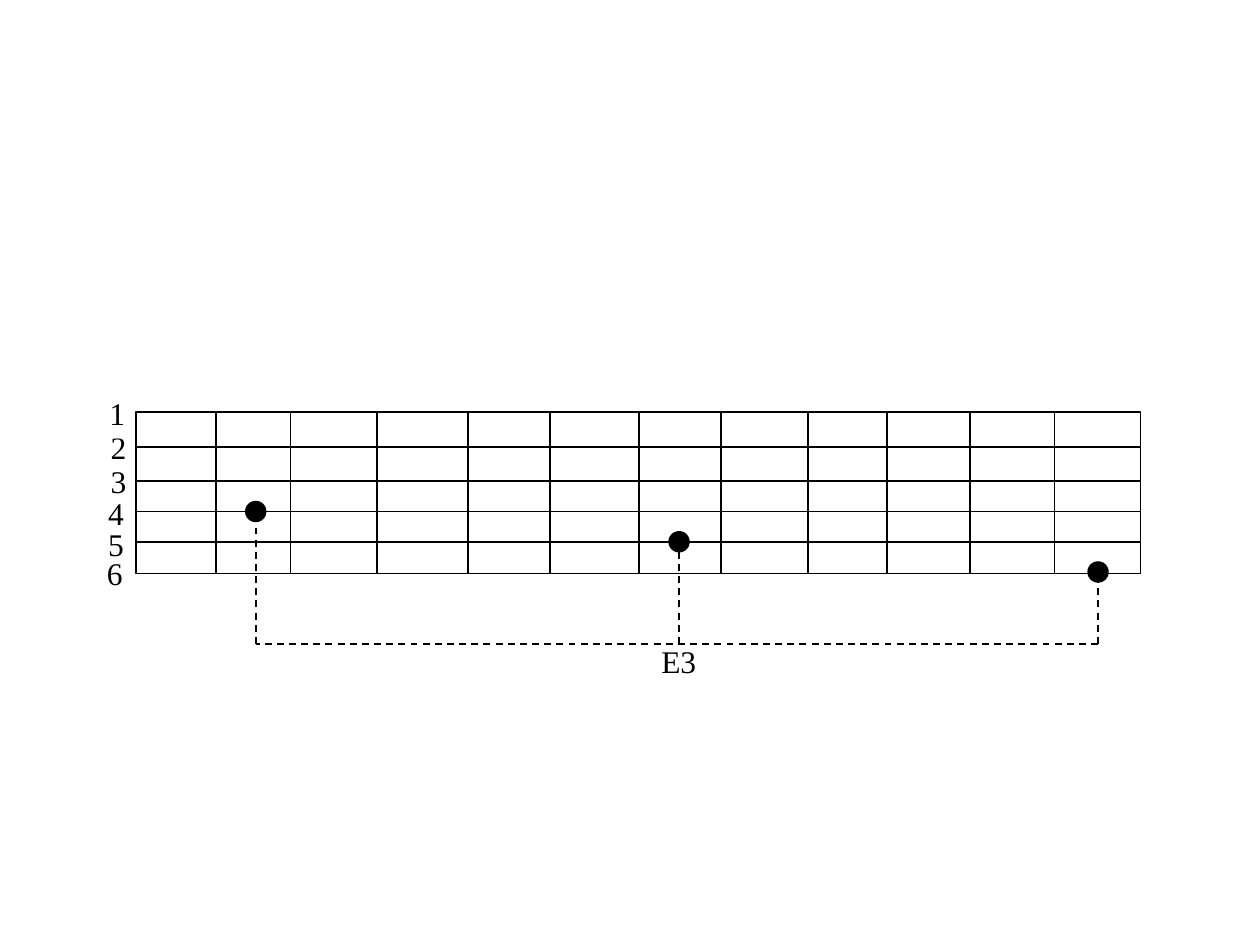
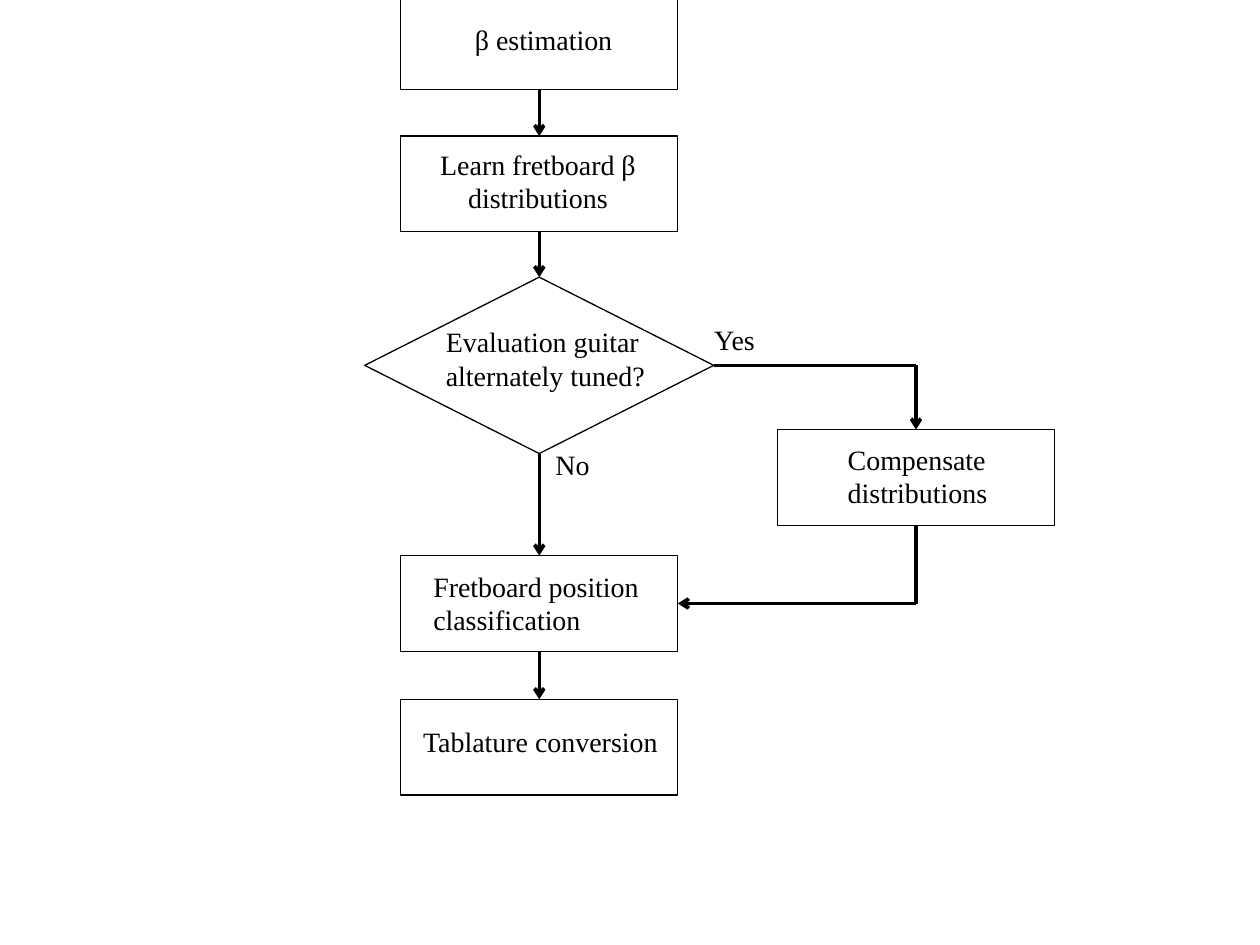
from lxml.etree import SubElement
from pptx import Presentation
from pptx.dml.color import RGBColor
from pptx.enum.dml import MSO_LINE
from pptx.enum.shapes import MSO_CONNECTOR, MSO_SHAPE as SHAPE
from pptx.enum.text import MSO_AUTO_SIZE, PP_ALIGN
from pptx.oxml.ns import qn
from pptx.util import Inches, Pt

COLORS = {"ink": "000000", "paper": "FFFFFF"}
FONT = "Times New Roman"
COLUMNS, ROWS = 100, 75
TOP, LEFT, BOTTOM, RIGHT = range(4)


class Sketch:
    def __init__(self, prs):
        self.prs = prs
        self.col = prs.slide_width / COLUMNS
        self.row = prs.slide_height / ROWS
        self.s = None

    def new_slide(self, size):
        self.s = self.prs.slides.add_slide(self.prs.slide_layouts[6])
        self.s.background.fill.solid()
        self.s.background.fill.fore_color.rgb = self.color("paper")
        self.size = Pt(size)

    def color(self, name):
        return RGBColor.from_string(COLORS[name])

    def place(self, x, y):
        return round(x * self.col), round(y * self.row)

    def shape(self, kind, x, y, w, h, fill=None):
        sp = self.s.shapes.add_shape(kind, *self.place(x, y), *self.place(w, h))
        sp.shadow.inherit = False
        self.fill(sp, fill)
        sp.line.color.rgb = self.color("ink")
        sp.line.width = Pt(0.75)
        return sp

    def fill(self, sp, name):
        if name:
            sp.fill.solid()
            sp.fill.fore_color.rgb = self.color(name)
        else:
            sp.fill.background()

    def text(self, words, x, y, w, h, wrap=True, align=PP_ALIGN.LEFT, fill=None):
        sp = self.s.shapes.add_textbox(*self.place(x, y), *self.place(w, h))
        self.fill(sp, fill)
        tf = sp.text_frame
        tf.word_wrap = wrap
        tf.auto_size = MSO_AUTO_SIZE.SHAPE_TO_FIT_TEXT
        p = tf.paragraphs[0]
        p.text = words
        p.alignment = align
        p.font.name = FONT
        p.font.size = self.size
        p.font.color.rgb = self.color("ink")

    def line(self, start, end, width=1, dash=False, arrow=False, begin=None, finish=None):
        c = self.s.shapes.add_connector(
            MSO_CONNECTOR.STRAIGHT, *self.place(*start), *self.place(*end))
        if begin:
            c.begin_connect(*begin)
        if finish:
            c.end_connect(*finish)
        c.line.color.rgb = self.color("ink")
        c.line.width = Pt(width)
        if dash:
            c.line.dash_style = MSO_LINE.DASH
        if arrow:
            SubElement(c.get_or_add_ln(), qn("a:tailEnd"), type="arrow")
        SubElement(c._element.spPr, qn("a:effectLst"))


def fretboard(sk):
    sk.new_slide(18)
    left, right, top, bottom = 10.8, 90.5, 32.7, 45.55
    frets = [17.15, 23.05, 29.9, 37.15, 43.65, 50.7, 57.25, 64.15, 70.4, 77, 83.7]
    strings = [35.5, 38.2, 40.6, 43]
    sk.shape(SHAPE.RECTANGLE, left, top, right - left, bottom - top)
    for x in frets:
        sk.line((x, bottom), (x, top))
    for y in strings:
        sk.line((left, y), (right, y))

    labels = [(7.8, 33.5), (7.8, 36.2), (7.6, 38.7), (7.6, 41.2), (7.5, 43.5)]
    for number, (x, y) in enumerate(labels, 2):
        sk.text(str(number), x, y, 3.3, 4, wrap=False)
    sk.text("1", 7.7, 30.8, 2.1, 4, fill="paper")

    dot, base = 1.6, 51.1
    notes = [(20.3, 40.6), (53.9, 43), (87.15, 45.4)]
    for x, y in notes:
        sk.shape(SHAPE.OVAL, x - dot / 2, y - dot / 2, dot, dot, "ink")
        sk.line((x, base), (x, y), dash=True)
    sk.line((notes[-1][0], base), (notes[0][0], base), dash=True)
    sk.text("E3", 51.5, 50.5, 4.8, 4, wrap=False)


def flowchart(sk):
    sk.new_slide(16)
    step_x, step_w, step_h = 31.8, 22, 7.6

    def step(x, y, words, *box, align=PP_ALIGN.LEFT):
        sp = sk.shape(SHAPE.FLOWCHART_PROCESS, x, y, step_w, step_h)
        sk.text(words, *box, align=align)
        return sp

    estimate = step(step_x, -0.5, "β estimation", 36.7, 1.3, 15.8, 3.7)
    learn = step(step_x, 10.8, "Learn fretboard β distributions",
                 31.6, 11.2, 22.2, 6.4, align=PP_ALIGN.CENTER)
    tuned = sk.shape(SHAPE.FLOWCHART_DECISION, 28.95, 22, 27.7, 14)
    sk.text("Evaluation guitar alternately tuned?", 34.4, 25.3, 20, 6.4)
    compensate = step(61.7, 34.1, "Compensate distributions", 66.3, 34.6, 14, 6.4)
    classify = step(step_x, 44.1, "Fretboard position classification",
                    33.4, 44.7, 20.9, 6.4)
    convert = step(step_x, 55.5, "Tablature conversion", 32.6, 57, 20.9, 3.7)
    sk.text("Yes", 55.7, 25.1, 5.3, 3.7, wrap=False)
    sk.text("No", 43.1, 35, 4.8, 3.7, wrap=False)

    chain = [estimate, learn, tuned, classify, convert]
    for above, below in zip(chain, chain[1:]):
        sk.line((0, 0), (0, 0), 2, arrow=True,
                begin=(above, BOTTOM), finish=(below, TOP))

    yes_corner, return_corner = (72.7, 29), (72.7, 47.9)
    sk.line(yes_corner, yes_corner, 2, begin=(tuned, RIGHT))
    sk.line(yes_corner, yes_corner, 2, arrow=True, finish=(compensate, TOP))
    sk.line(return_corner, return_corner, 2, begin=(compensate, BOTTOM))
    sk.line(return_corner, return_corner, 2, arrow=True, finish=(classify, RIGHT))


def main():
    prs = Presentation()
    prs.slide_width, prs.slide_height = Inches(10), Inches(7.5)
    sk = Sketch(prs)
    fretboard(sk)
    flowchart(sk)
    prs.save("out.pptx")


if __name__ == "__main__":
    main()
